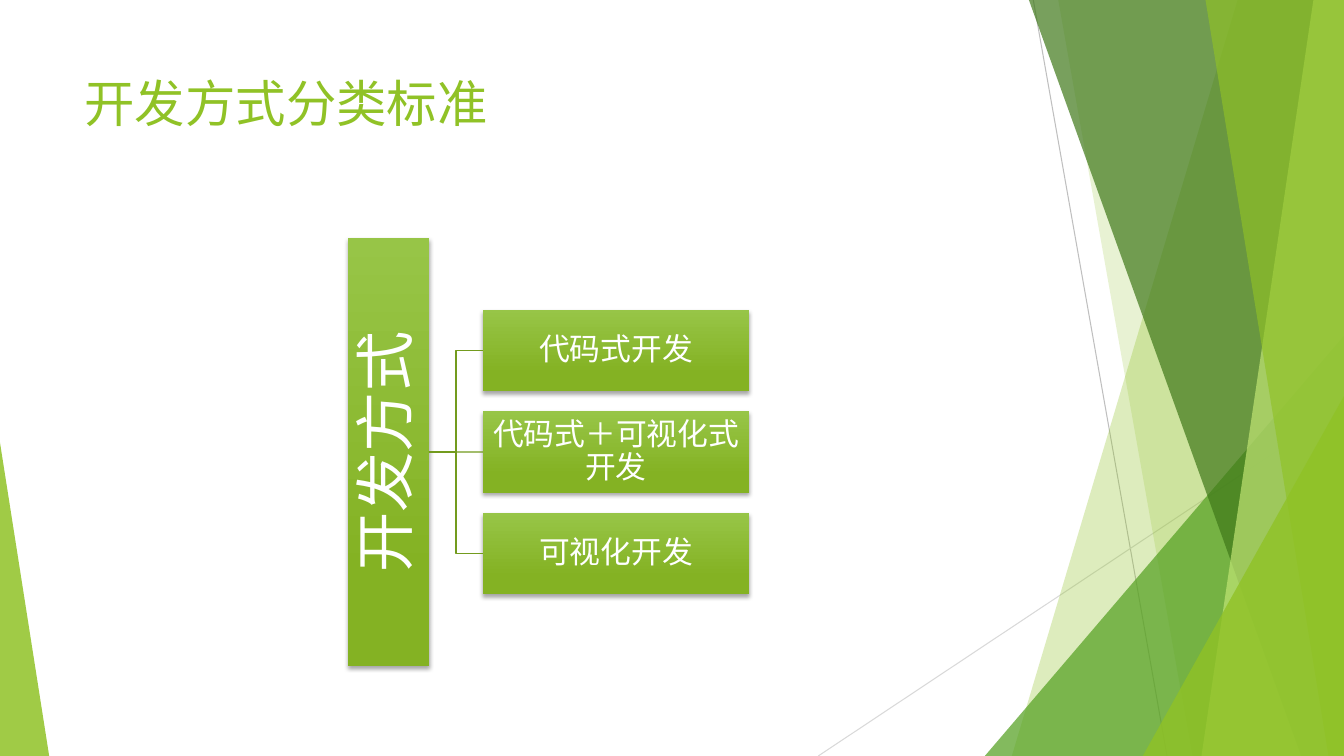
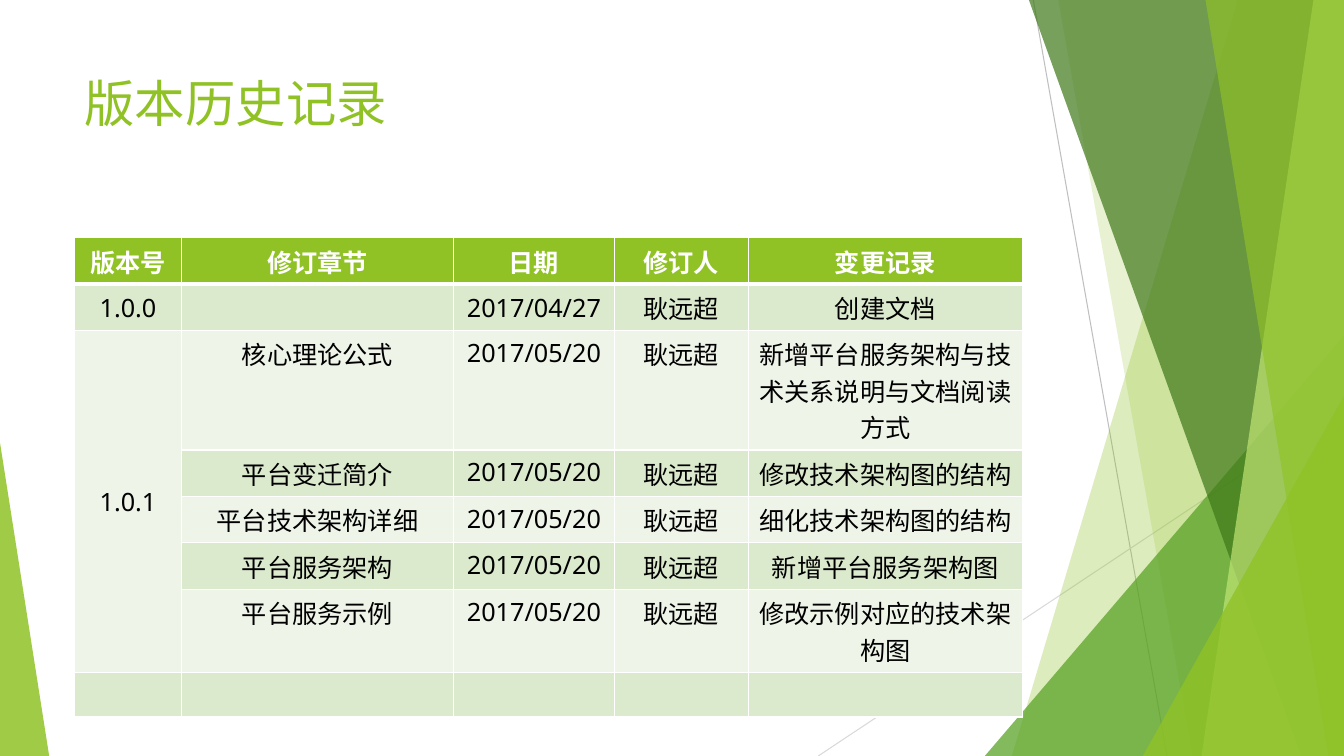
from dataclasses import dataclass

from lxml.etree import SubElement
from pptx import Presentation
from pptx.dml.color import RGBColor
from pptx.enum.shapes import MSO_CONNECTOR as Link, MSO_SHAPE as Preset
from pptx.enum.text import MSO_ANCHOR as Anchor, PP_ALIGN as Align
from pptx.oxml.ns import qn
from pptx.shapes.autoshape import Shape
from pptx.shapes.connector import Connector
from pptx.slide import Slide
from pptx.table import _Cell as Cell
from pptx.text.text import TextFrame
from pptx.util import Cm, Pt

COLORS = {
    "lime": "90C226", "leaf": "54A021", "forest": "3F7819", "pale": "C0E474",
    "box_top": "97C547", "box_bottom": "84B223", "branch": "739B1E",
    "ray_dark": "BFBFBF", "ray_light": "D9D9D9",
    "row_dark": "DBE9CD", "row_light": "EEF4E8",
    "white": "FFFFFF", "black": "000000",
}
FONT = "Noto Sans"
WIDTH, HEIGHT = 33.87, 19.05
LEFT, CONTENT_WIDTH = 1.88, 23.88


@dataclass
class Ray:
    start: tuple[float, float]
    end: tuple[float, float]
    color: str


@dataclass
class Band:
    """Strip from a slanted left edge to the right side of the slide."""
    top_x: float
    bottom_x: float
    color: str
    opacity: int


@dataclass
class Wedge:
    """Right triangle standing on the bottom of the slide."""
    left: float
    top: float
    width: float
    apex: float
    color: str
    opacity: int


@dataclass
class Node:
    text: str
    left: float
    center_y: float
    width: float
    height: float
    size: int
    inset: float
    upright: bool = False


RAYS = [
    Ray((26.04, 0), (29.41, HEIGHT), "ray_dark"),
    Ray((WIDTH, 10.24), (20.62, HEIGHT), "ray_light"),
]
FACETS = [
    Band(31.19, 25.5, "lime", 30),
    Band(26.67, 30.05, "lime", 20),
    Wedge(24.82, 8.46, 9.05, 1, "leaf", 72),
    Band(25.93, 32.79, "forest", 70),
    Band(33.1, 30.28, "pale", 70),
    Band(30.38, 33.48, "lime", 65),
    Wedge(28.8, 9.98, 5.07, 1, "lime", 80),
    Wedge(0, 11.15, 1.24, 0, "lime", 85),
]


# Shared helpers
def rgb(color: str) -> RGBColor:
    return RGBColor.from_string(COLORS[color])


def add_text(frame: TextFrame, text: str, size: int, color: str,
             align: Align = Align.LEFT, bold: bool = False,
             east_asian: bool = True) -> None:
    paragraph = frame.paragraphs[0]
    paragraph.alignment = align
    run = paragraph.add_run()
    run.text = text
    run.font.size = Pt(size)
    run.font.bold = bold
    run.font.color.rgb = rgb(color)
    run.font.name = FONT
    if east_asian:
        SubElement(run.font._element, qn("a:ea"), typeface=FONT)


def style_line(line: Connector, color: str, width: float) -> None:
    line.line.color.rgb = rgb(color)
    line.line.width = Pt(width)
    SubElement(line.element.spPr, qn("a:effectLst"))


def fill_facet(facet: Shape, color: str, opacity: int) -> None:
    facet.shadow.inherit = False
    facet.line.fill.background()
    facet.fill.solid()
    facet.fill.fore_color.rgb = rgb(color)
    tint = next(facet.element.spPr.iter(qn("a:srgbClr")))
    SubElement(tint, qn("a:alpha"), val=str(opacity * 1000))


# Backdrop and title on every slide
def draw_facet(slide: Slide, facet: Band | Wedge) -> None:
    if isinstance(facet, Band):
        outline = slide.shapes.build_freeform(Cm(facet.top_x), 0, scale=1.0)
        corners = [(WIDTH, 0), (WIDTH, HEIGHT), (facet.bottom_x, HEIGHT)]
        outline.add_line_segments([(Cm(x), Cm(y)) for x, y in corners], close=True)
        shape = outline.convert_to_shape()
    else:
        shape = slide.shapes.add_shape(
            Preset.ISOSCELES_TRIANGLE, Cm(facet.left), Cm(facet.top),
            Cm(facet.width), Cm(HEIGHT - facet.top))
        shape.adjustments[0] = facet.apex
    fill_facet(shape, facet.color, facet.opacity)


def new_slide(title: str) -> Slide:
    slide = deck.slides.add_slide(deck.slide_layouts[6])
    for ray in RAYS:
        line = slide.shapes.add_connector(
            Link.STRAIGHT, *(Cm(v) for v in (*ray.start, *ray.end)))
        style_line(line, ray.color, 0.75)
    for facet in FACETS:
        draw_facet(slide, facet)
    heading = slide.shapes.add_textbox(Cm(LEFT), Cm(1.7), Cm(CONTENT_WIDTH), Cm(3.66))
    heading.text_frame.word_wrap = True
    add_text(heading.text_frame, title, 36, "lime")
    return slide


# Hierarchy parts
def draw_node(slide: Slide, node: Node) -> Shape:
    box = slide.shapes.add_shape(
        Preset.RECTANGLE, Cm(node.left), Cm(node.center_y - node.height / 2),
        Cm(node.width), Cm(node.height))
    box.line.fill.background()
    box.fill.gradient()
    box.fill.gradient_angle = 270
    stops = zip(box.fill.gradient_stops, ("box_top", "box_bottom"), (0, 0.78))
    for stop, color, position in stops:
        stop.color.rgb = rgb(color)
        stop.position = position

    box.shadow.inherit = False
    effects = box.element.spPr.find(qn("a:effectLst"))
    shadow = SubElement(effects, qn("a:outerShdw"), blurRad=str(Pt(3)),
                        dist=str(Pt(2)), dir="5400000", rotWithShape="0")
    shade = SubElement(shadow, qn("a:srgbClr"), val=COLORS["black"])
    SubElement(shade, qn("a:alpha"), val="35000")

    frame = box.text_frame
    frame.word_wrap = True
    frame.vertical_anchor = Anchor.MIDDLE
    frame.margin_left = frame.margin_right = Cm(node.inset)
    frame.margin_top = frame.margin_bottom = Cm(node.inset)
    if node.upright:
        frame._txBody.bodyPr.set("vert", "vert270")
    add_text(frame, node.text, node.size, "white", Align.CENTER)
    frame.paragraphs[0].line_spacing = 0.9
    return box


def draw_branch(slide: Slide, parent: Shape, child: Shape, link: Link) -> None:
    branch = slide.shapes.add_connector(link, 0, 0, 0, 0)
    branch.begin_connect(parent, 3)
    branch.end_connect(child, 1)
    style_line(branch, "branch", 1)


# Table parts
def draw_borders(cell: Cell, top: float, bottom: float) -> None:
    properties = cell._tc.get_or_add_tcPr()
    for side, width in (("L", 1), ("R", 1), ("T", top), ("B", bottom)):
        edge = SubElement(properties, qn(f"a:ln{side}"), w=str(Pt(width)))
        paint = SubElement(edge, qn("a:solidFill"))
        SubElement(paint, qn("a:srgbClr"), val=COLORS["white"])


def draw_history(slide: Slide, rows: list[list[str]], widths: list[float],
                 heights: list[float]) -> None:
    history = slide.shapes.add_table(
        len(rows), len(widths), Cm(LEFT), Cm(5.99),
        Cm(CONTENT_WIDTH), Cm(sum(heights))).table
    history.horz_banding = False
    for column, width in zip(history.columns, widths):
        column.width = Cm(width)
    for line, height in zip(history.rows, heights):
        line.height = Cm(height)
    for r, row in enumerate(rows):
        header = r == 0
        fill = "lime" if header else ("row_light", "row_dark")[r % 2]
        for c, text in enumerate(row):
            cell = history.cell(r, c)
            draw_borders(cell, 3 if r == 1 else 1, 3 if header else 1)
            cell.fill.solid()
            cell.fill.fore_color.rgb = rgb(fill)
            centered = r < 2 or c == 0
            cell.vertical_anchor = Anchor.MIDDLE if centered else Anchor.TOP
            if text:
                add_text(cell.text_frame, text, 18, "white" if header else "black",
                         Align.CENTER, bold=header, east_asian=False)
    history.cell(2, 0).merge(history.cell(6, 0))


deck = Presentation()
deck.slide_width, deck.slide_height = Cm(WIDTH), Cm(HEIGHT)

# Slide 1: development approaches
approaches = new_slide("开发方式分类标准")
MIDDLE_Y, PITCH = 11.39, 2.56
root = draw_node(approaches, Node(
    "开发方式", 8.76, MIDDLE_Y, 2.05, 10.77, 43, 0.08, upright=True))
for i, label in enumerate(["代码式开发", "代码式＋可视化式 开发", "可视化开发"]):
    approach = draw_node(approaches, Node(
        label, 12.17, MIDDLE_Y + (i - 1) * PITCH, 6.71, 2.05, 22, 0.05))
    draw_branch(approaches, root, approach, Link.STRAIGHT if i == 1 else Link.ELBOW)

# Slide 2: version history
EDITOR, REVISED = "耿远超", "2017/05/20"
REVISIONS = [
    ("核心理论公式", "新增平台服务架构与技术关系说明与文档阅读方式"),
    ("平台变迁简介", "修改技术架构图的结构"),
    ("平台技术架构详细", "细化技术架构图的结构"),
    ("平台服务架构", "新增平台服务架构图"),
    ("平台服务示例", "修改示例对应的技术架构图"),
]
ONE_LINE, TWO_LINES, THREE_LINES = 1.17, 2.09, 3.01
versions = new_slide("版本历史记录")
draw_history(versions, [
    ["版本号", "修订章节", "日期", "修订人", "变更记录"],
    ["1.0.0", "", "2017/04/27", EDITOR, "创建文档"],
    *(["" if i else "1.0.1", chapter, REVISED, EDITOR, change]
      for i, (chapter, change) in enumerate(REVISIONS)),
    [""] * 5,
], [2.69, 6.86, 4.05, 3.38, 6.9],
    [ONE_LINE] * 2 + [THREE_LINES] + [ONE_LINE] * 3 + [TWO_LINES, 1.13])

deck.save("out.pptx")
